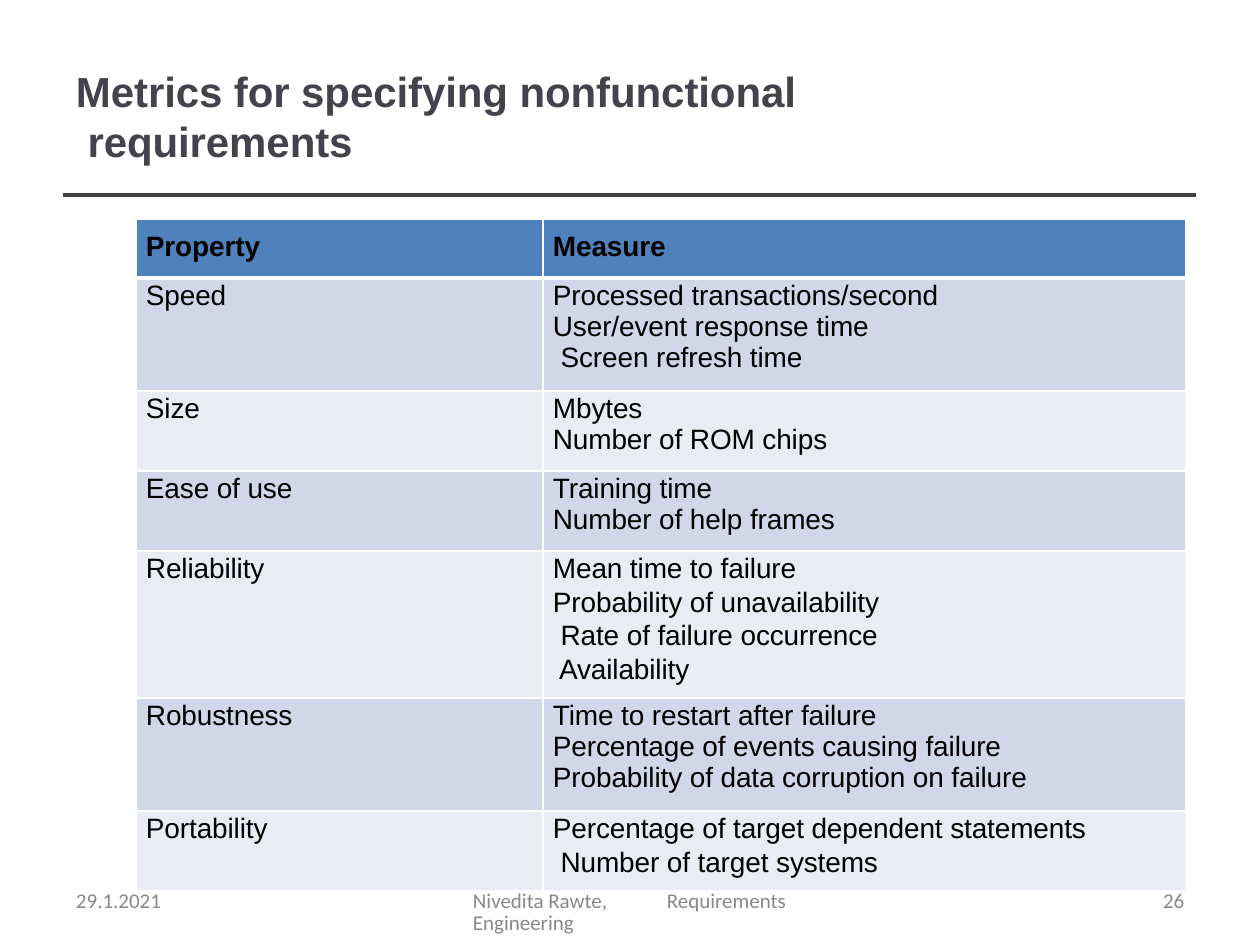
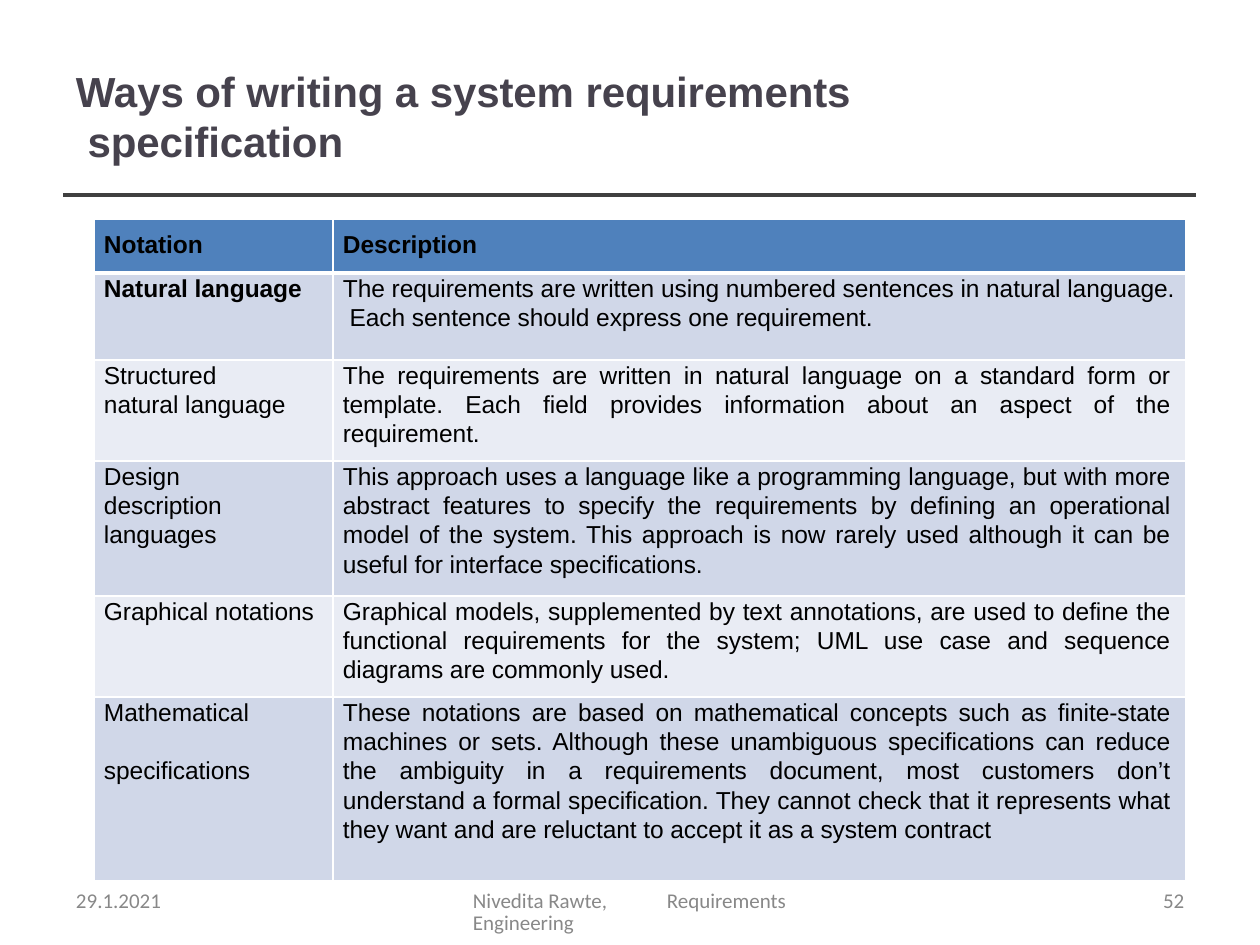
from lxml.etree import SubElement
from pptx import Presentation
from pptx.dml.color import RGBColor
from pptx.enum.shapes import MSO_CONNECTOR
from pptx.enum.text import MSO_ANCHOR, MSO_AUTO_SIZE, PP_ALIGN
from pptx.oxml import parse_xml
from pptx.oxml.ns import nsdecls, qn
from pptx.util import Emu, Pt

PX_PER_INCH = 126
TITLE_COLOR, RULE_COLOR, FOOTER_COLOR = "46424D", "404040", "888888"
HEADER_FILL, BAND_FILLS = "4F81BC", ("D0D7E8", "E9ECF4")
TEXT_COLOR, BORDER_COLOR = "000000", "FFFFFF"
TABLE_TOP = 219

METRICS = [
    ("Property", "Measure"),
    ("Speed", "Processed transactions/second\nUser/event response time\v Screen refresh time"),
    ("Size", "Mbytes\nNumber of ROM chips"),
    ("Ease of use", "Training time\nNumber of help frames"),
    ("Reliability", "Mean time to failure\vProbability of unavailability\v"
                    " Rate of failure occurrence\v Availability"),
    ("Robustness", "Time to restart after failure\nPercentage of events causing failure\v"
                   "Probability of data corruption on failure"),
    ("Portability", "Percentage of target dependent statements\v Number of target systems"),
]
NOTATIONS = [
    ("Notation", "Description"),
    ("Natural language",
     "The requirements are written using numbered sentences in natural language.\v"
     " Each sentence should express one requirement."),
    ("Structured\vnatural language",
     "The requirements are written in natural language on a standard form or template. "
     "Each field provides information about an aspect of the requirement."),
    ("Design\vdescription\vlanguages",
     "This approach uses a language like a programming language, but with more abstract "
     "features to specify the requirements by defining an operational model of the system. "
     "This approach is now rarely used although it can be useful for interface specifications."),
    ("Graphical notations",
     "Graphical models, supplemented by text annotations, are used to define the functional "
     "requirements for the system; UML use case and sequence diagrams are commonly used."),
    ("Mathematical\nspecifications",
     "These notations are based on mathematical concepts such as finite-state machines or "
     "sets. Although these unambiguous specifications can reduce the ambiguity in a "
     "requirements document, most customers don’t understand a formal specification. They "
     "cannot check that it represents what they want and are reluctant to accept it as a "
     "system contract"),
]


def px(length):
    return Emu(round(length * 914400 / PX_PER_INCH))


def rgb(color):
    return RGBColor.from_string(color)


def style(paragraph, font_name, size, color, bold=False, leading=None, spacing=0):
    """Format one paragraph; spacing is in hundredths of a point."""
    font = paragraph.font
    font.name, font.size, font.bold = font_name, Pt(size), bold
    font.color.rgb = rgb(color)
    if leading:
        paragraph.line_spacing = Pt(leading)
    if spacing:
        paragraph._p.pPr.find(qn("a:defRPr")).set("spc", str(spacing))


def clear_margins(frame):
    frame.margin_left = frame.margin_top = frame.margin_right = frame.margin_bottom = 0
    frame.word_wrap = True


def add_title(slide, text):
    title = slide.shapes.title
    title.left, title.top, title.width, title.height = px(75), px(66), px(800), px(105)
    frame = title.text_frame
    clear_margins(frame)
    frame.margin_left = px(1)
    frame.auto_size = MSO_AUTO_SIZE.NONE
    frame.vertical_anchor = MSO_ANCHOR.TOP
    frame.text = text
    heading = frame.paragraphs[0]
    heading.alignment = PP_ALIGN.LEFT
    style(heading, "Arial", 24, TITLE_COLOR, True, 28.6, -5)


def add_title_rule(slide):
    rule = slide.shapes.add_connector(MSO_CONNECTOR.STRAIGHT, px(63), px(195), px(1196), px(195))
    rule.line.color.rgb = rgb(RULE_COLOR)
    rule.line.width = Pt(2.04)
    SubElement(rule._element.spPr, qn("a:effectLst"))


def add_footer(slide, number):
    parts = [(76, 106, "29.1.2021"),
             (473, 316, "Nivedita Rawte,\tRequirements Engineering"),
             (1163, 32, number)]
    for left, width, text in parts:
        frame = slide.shapes.add_textbox(px(left), px(891), px(width), px(25)).text_frame
        clear_margins(frame)
        line = frame.paragraphs[0]
        line.text = text
        style(line, "Calibri", 12, FOOTER_COLOR, leading=12.4)
        if "\t" in text:
            stops = parse_xml(f'<a:tabLst {nsdecls("a")}><a:tab pos="{px(194)}" algn="l"/></a:tabLst>')
            line._p.pPr.find(qn("a:defRPr")).addprevious(stops)


def set_borders(cell, top, bottom):
    properties = cell._tc.get_or_add_tcPr()
    for place, (side, width) in enumerate(zip("LRTB", (1, 1, top, bottom))):
        properties.insert(place, parse_xml(
            f'<a:ln{side} {nsdecls("a")} w="{Pt(width)}"><a:solidFill>'
            f'<a:srgbClr val="{BORDER_COLOR}"/></a:solidFill></a:ln{side}>'))


def fill_cell(cell, text, row, size, leading, next_leading, gap, justify):
    is_header = row == 0
    justified = justify and row > 1
    cell.fill.solid()
    cell.fill.fore_color.rgb = rgb(HEADER_FILL if is_header else BAND_FILLS[(row - 1) % 2])
    set_borders(cell, 3 if row == 1 else 1, 3 if is_header else 1)
    cell.margin_left, cell.margin_top = px(10), px(12 if is_header else 0)
    cell.margin_right, cell.margin_bottom = px(16 if justified else 0), 0
    cell.text = text
    bold = is_header or text == "Natural language"
    for index, line in enumerate(cell.text_frame.paragraphs):
        pitch = next_leading if index else leading
        style(line, "Arial", size, TEXT_COLOR, bold, None if is_header else pitch, -5)
        if index:
            line.space_before = Pt(gap)
        if justified:
            line.alignment = PP_ALIGN.JUSTIFY


def add_banded_table(slide, left, widths, heights, rows, size, leading, next_leading,
                     gap=0, justify=False):
    table = slide.shapes.add_table(len(rows), len(widths), px(left), px(TABLE_TOP),
                                   px(sum(widths)), px(sum(heights))).table
    for column, width in zip(table.columns, widths):
        column.width = px(width)
    for row, (texts, height) in enumerate(zip(rows, heights)):
        table.rows[row].height = px(height)
        for column, text in enumerate(texts):
            fill_cell(table.cell(row, column), text, row, size, leading, next_leading,
                      gap, justify and column == 1)


def add_table_slide(deck, title, number, **table):
    slide = deck.slides.add_slide(deck.slide_layouts[5])
    add_title_rule(slide)
    add_title(slide, title)
    add_footer(slide, number)
    add_banded_table(slide, **table)


def main():
    deck = Presentation()
    deck.slide_width, deck.slide_height = px(1260), px(945)
    add_table_slide(deck, "Metrics for specifying nonfunctional\v requirements", "26",
                    left=136, widths=(407, 643), heights=(59, 113, 80, 80, 147, 113, 80),
                    rows=METRICS, size=16, leading=19.2, next_leading=17.7)
    add_table_slide(deck, "Ways of writing a system requirements\v specification", "52",
                    left=94, widths=(239, 853), heights=(54, 87, 101, 135, 101, 184),
                    rows=NOTATIONS, size=14, leading=16.8, next_leading=16.8,
                    gap=16.8, justify=True)
    deck.save("out.pptx")


if __name__ == "__main__":
    main()
